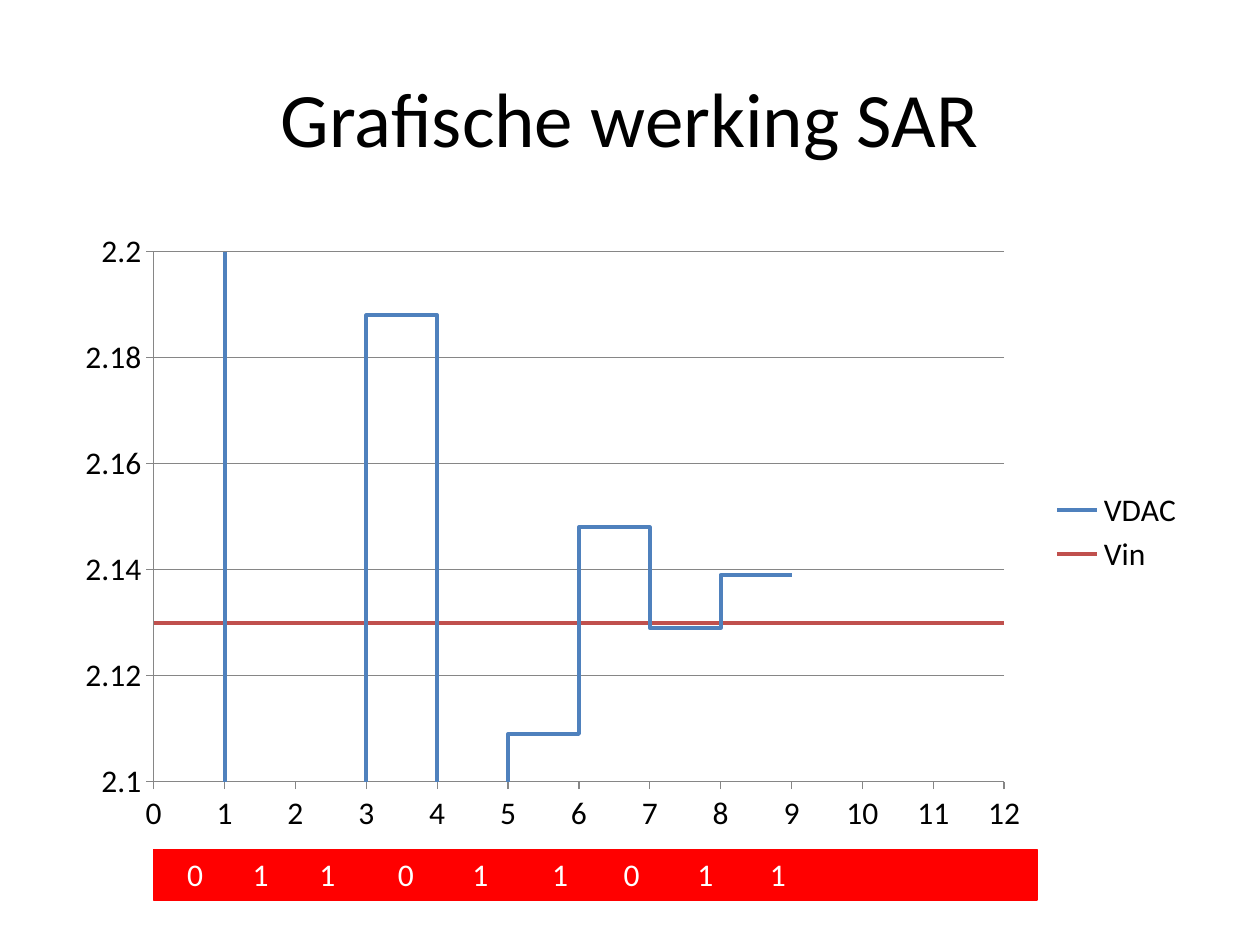
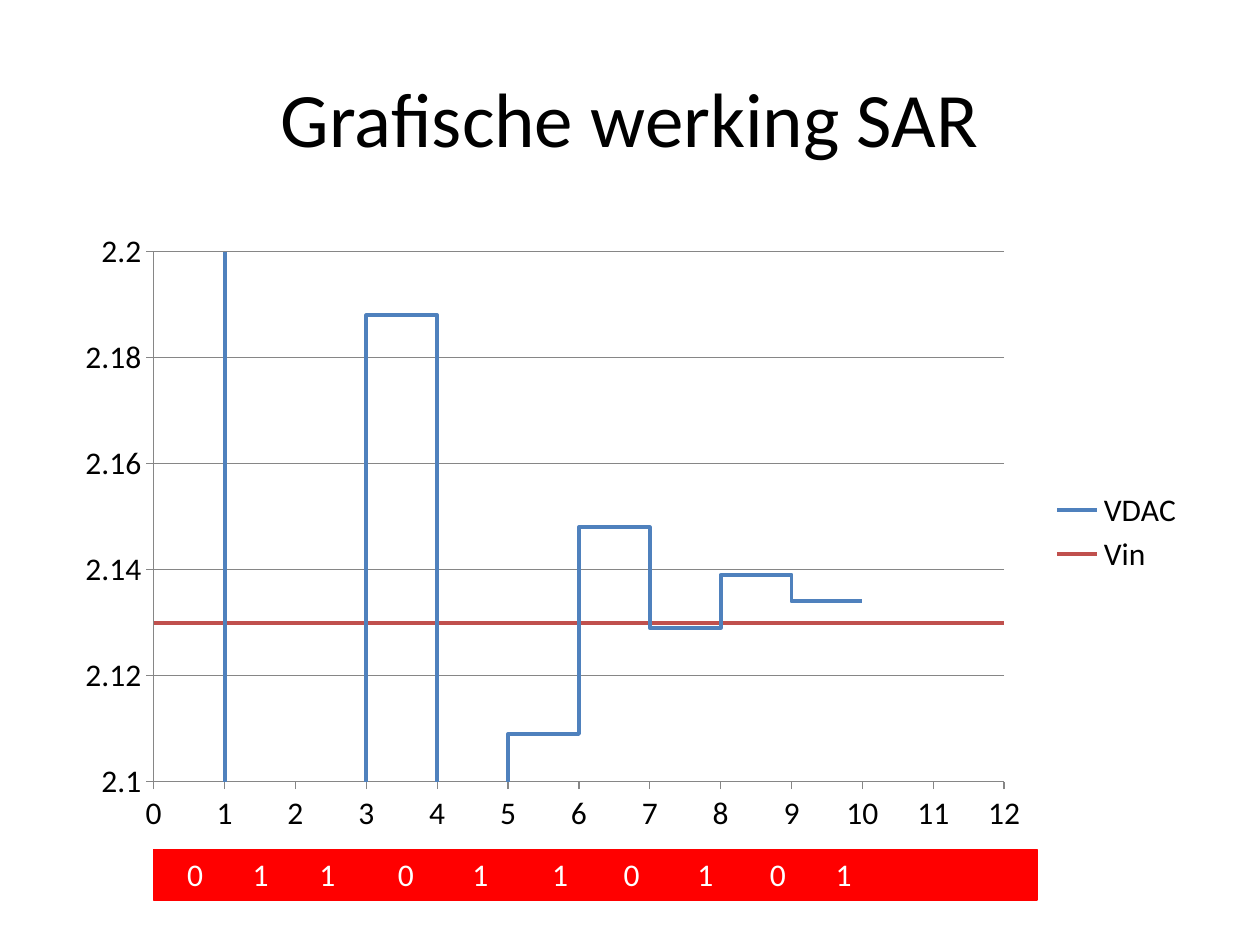
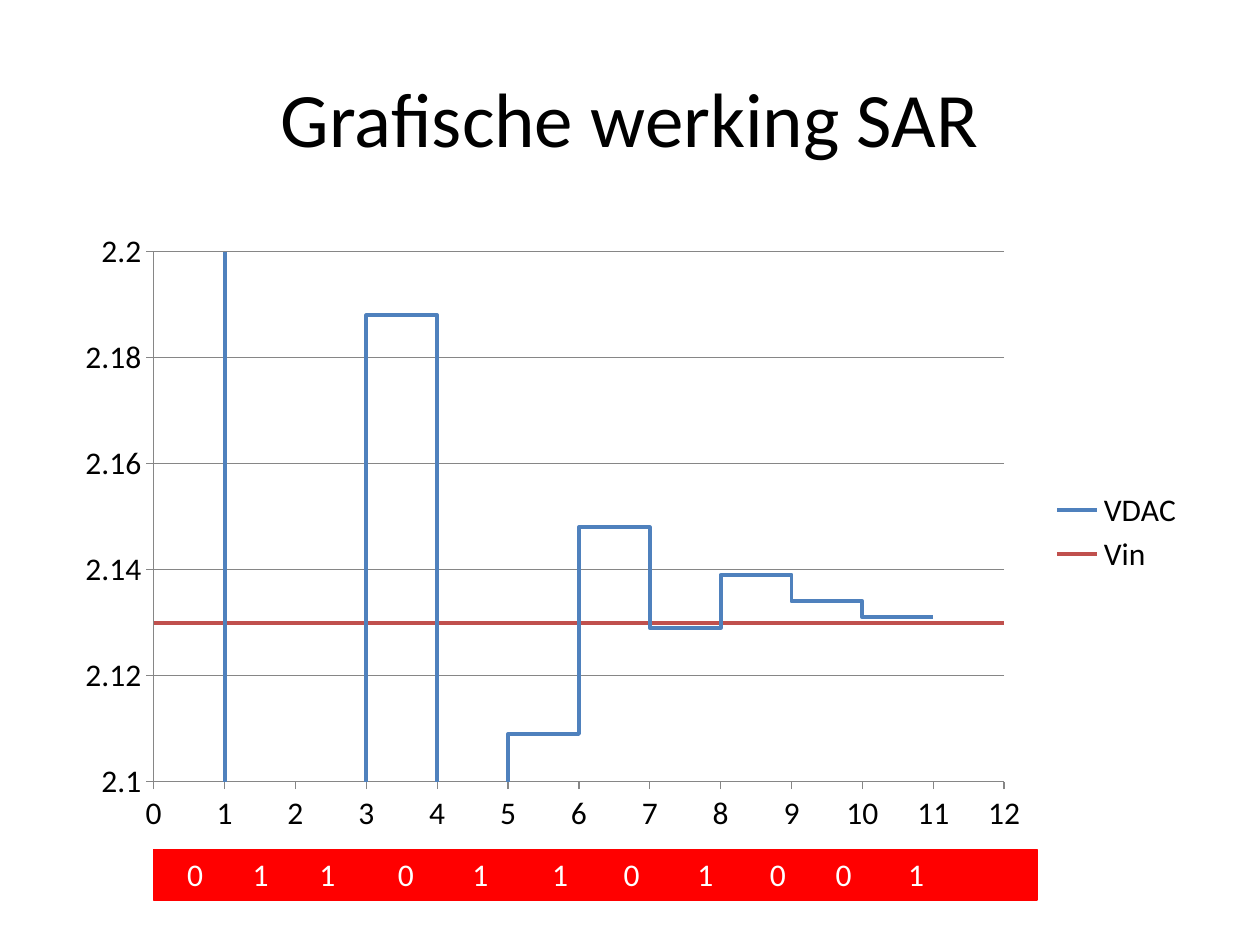
from lxml.etree import SubElement
from pptx import Presentation
from pptx.chart.data import XyChartData
from pptx.dml.color import RGBColor
from pptx.enum.chart import XL_CHART_TYPE as ChartType
from pptx.enum.chart import XL_LEGEND_POSITION as LegendPosition
from pptx.enum.chart import XL_TICK_MARK as TickMark
from pptx.enum.shapes import MSO_SHAPE as Shape
from pptx.enum.text import MSO_ANCHOR as Anchor
from pptx.enum.text import MSO_AUTO_SIZE as AutoSize
from pptx.enum.text import PP_ALIGN as Align
from pptx.oxml.ns import qn
from pptx.util import Pt

# Shared style
FONT = "Calibri"
BLACK = RGBColor(0x00, 0x00, 0x00)
WHITE = RGBColor(0xFF, 0xFF, 0xFF)
RED = RGBColor(0xFF, 0x00, 0x00)
GRAY = RGBColor(0x86, 0x86, 0x86)
DAC_BLUE = RGBColor(0x4F, 0x81, 0xBD)
INPUT_RED = RGBColor(0xC0, 0x50, 0x4D)

# Converter data: one DAC level per clock cycle
LEVELS = [2.5, 1.25, 1.875, 2.188, 2.031, 2.109,
          2.148, 2.129, 2.139, 2.134, 2.131]
INPUT_VOLTAGE = 2.13
CYCLES = 12
BITS_PER_SLIDE = ["011011011", "0110110101", "01101101001"]

# Left edge of each bit, measured from the text margin of the band
BIT_STOPS = [12, 49.5, 87.5, 132.5, 175, 220.5, 261.5, 303.5, 345, 382.5, 424]

# Inner plot area as fractions of the chart
PLOT_LAYOUT = {"xMode": "edge", "yMode": "edge",
               "x": 0.08, "y": 0.05, "w": 0.75, "h": 0.85}


def apply(target, values):
    for name, value in values.items():
        setattr(target, name, value)


class SlideBuilder:
    def __init__(self):
        self.deck = Presentation()
        apply(self.deck, {"slide_width": Pt(720), "slide_height": Pt(540)})
        self.page = None

    def new_page(self):
        self.page = self.deck.slides.add_slide(self.deck.slide_layouts[6])

    def style_font(self, font, size, color):
        apply(font, {"name": FONT, "size": Pt(size)})
        font.color.rgb = color

    def add_span(self, para, text, size, color):
        span = para.add_run()
        span.text = text
        self.style_font(span.font, size, color)

    def title(self, text):
        box = self.page.shapes.add_textbox(Pt(36), Pt(21.6), Pt(648), Pt(90))
        apply(box.text_frame, {"word_wrap": True,
                               "vertical_anchor": Anchor.MIDDLE})
        para = box.text_frame.paragraphs[0]
        para.alignment = Align.CENTER
        self.add_span(para, text, 44, BLACK)

    def step_chart(self, levels):
        data = XyChartData()
        dac = data.add_series("VDAC")
        for cycle, level in enumerate(levels):
            dac.add_data_point(cycle, level)
            dac.add_data_point(cycle + 1, level)
        voltage = data.add_series("Vin")
        for cycle in range(CYCLES + 1):
            voltage.add_data_point(cycle, INPUT_VOLTAGE)

        chart = self.page.shapes.add_chart(
            ChartType.XY_SCATTER_LINES_NO_MARKERS,
            Pt(36), Pt(126), Pt(648), Pt(356.4), data).chart
        apply(chart, {"has_title": False, "has_legend": True})
        apply(chart.legend, {"position": LegendPosition.RIGHT,
                             "include_in_layout": False})
        self.style_font(chart.font, 18, BLACK)
        chart.plots[0].vary_by_categories = False
        for series, color in zip(chart.plots[0].series, (DAC_BLUE, INPUT_RED)):
            series.format.line.color.rgb = color
            series.format.line.width = Pt(2.25)

        self.axis(chart.category_axis, 0, CYCLES, 1, False)
        self.axis(chart.value_axis, 2.1, 2.2, 0.02, True)
        self.place_plot(chart)

    def axis(self, axis, low, high, step, grid):
        apply(axis, {"minimum_scale": low, "maximum_scale": high,
                     "major_unit": step, "has_major_gridlines": grid,
                     "major_tick_mark": TickMark.OUTSIDE,
                     "minor_tick_mark": TickMark.NONE})
        lines = [axis.format.line]
        if grid:
            lines.append(axis.major_gridlines.format.line)
        for line in lines:
            line.color.rgb = GRAY
            line.width = Pt(0.75)

    def place_plot(self, chart):
        area = chart.element.find(".//" + qn("c:plotArea"))
        layout = area.find(qn("c:layout"))
        if layout is None:
            layout = SubElement(area, qn("c:layout"))
            area.insert(0, layout)
        manual = SubElement(layout, qn("c:manualLayout"))
        SubElement(manual, qn("c:layoutTarget")).set("val", "inner")
        for name, value in PLOT_LAYOUT.items():
            SubElement(manual, qn("c:" + name)).set("val", str(value))

    def bit_band(self, bits):
        band = self.page.shapes.add_shape(
            Shape.RECTANGLE, Pt(87.84), Pt(485.28), Pt(504.72), Pt(29.08))
        band.shadow.inherit = False
        band.fill.solid()
        band.fill.fore_color.rgb = RED
        band.line.color.rgb = RED
        band.line.width = Pt(0.75)
        apply(band.text_frame, {"word_wrap": True,
                                "vertical_anchor": Anchor.TOP,
                                "auto_size": AutoSize.SHAPE_TO_FIT_TEXT})
        para = band.text_frame.paragraphs[0]
        para.alignment = Align.LEFT
        # One tab stop per bit
        stops = SubElement(para._p.get_or_add_pPr(), qn("a:tabLst"))
        for position in BIT_STOPS[:len(bits)]:
            stop = SubElement(stops, qn("a:tab"))
            stop.set("pos", str(int(Pt(position))))
            stop.set("algn", "l")
        self.add_span(para, "".join("\t" + bit for bit in bits), 18, WHITE)


# Slides: each one adds a clock cycle
builder = SlideBuilder()
for bits in BITS_PER_SLIDE:
    builder.new_page()
    builder.title("Grafische werking SAR")
    builder.step_chart(LEVELS[:len(bits)])
    builder.bit_band(bits)

builder.deck.save("out.pptx")
